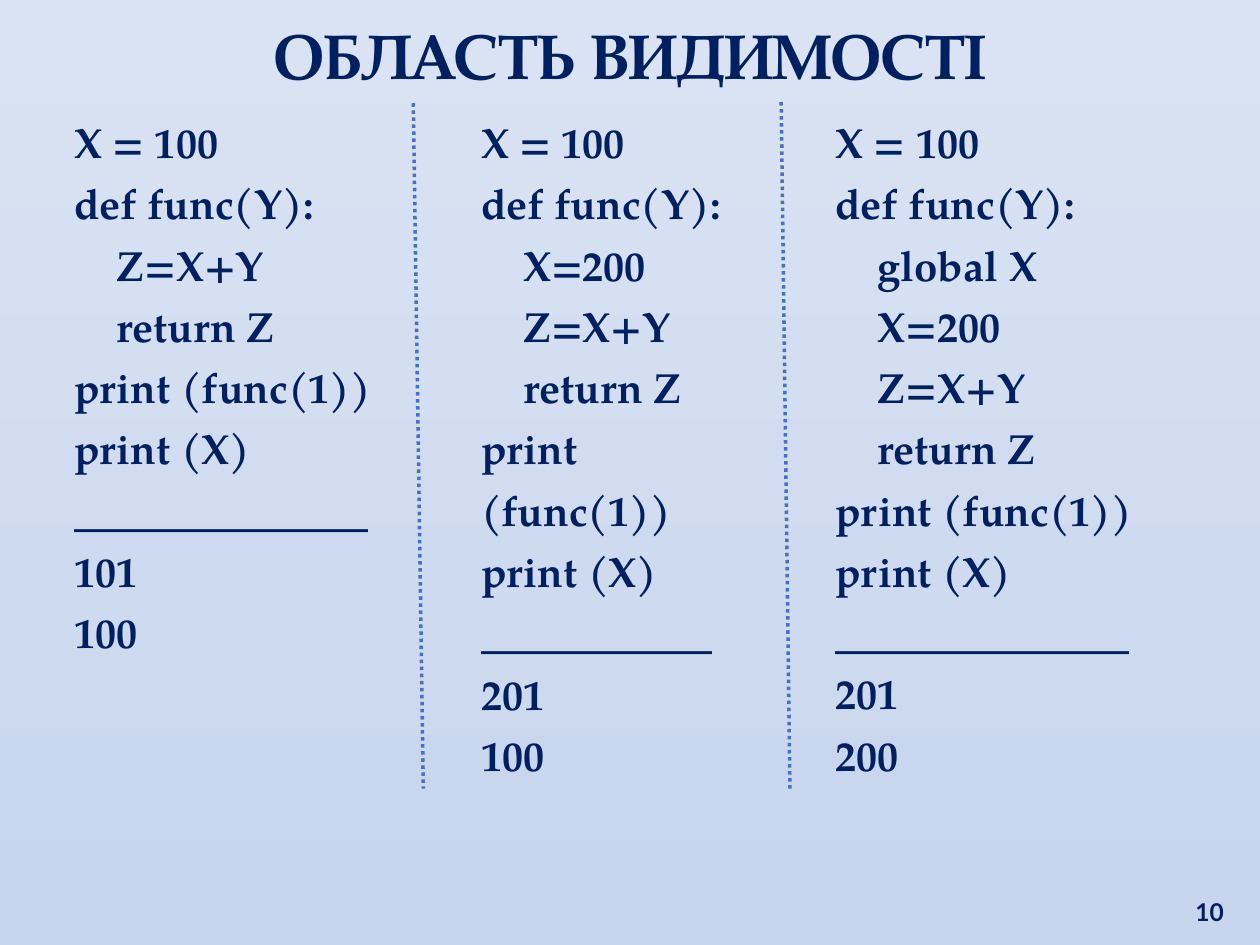
from pptx import Presentation
from pptx.dml.color import RGBColor
from pptx.enum.dml import MSO_LINE
from pptx.enum.shapes import MSO_CONNECTOR
from pptx.enum.text import MSO_ANCHOR, PP_ALIGN
from pptx.oxml.ns import qn
from pptx.util import Pt
from lxml import etree

COLORS = {"text": "002060", "divider": "4472C4", "top": "DAE3F3", "bottom": "C7D5ED"}
SERIF, SANS = "TeX Gyre Pagella", "Lato"
CODE_INDENT = 24

# Each column: left, width, height, function body, rule length, printed results
COLUMNS = [
    (35.3, 194.4, 323.3, ["Z=X+Y", "return Z"], 14, ["101", "100"]),
    (267.8, 173.5, 358.6, ["X=200", "Z=X+Y", "return Z"], 11, ["201", "100"]),
    (470.2, 234.7, 393.8, ["global X", "X=200", "Z=X+Y", "return Z"], 14, ["201", "200"]),
]
COLUMN_TOP = 56.9
DIVIDERS = [(446.4, 58.3, 451.4, 450.7), (236.2, 59, 241.9, 450.7)]


def color(name):
    return RGBColor.from_string(COLORS[name])


def paint_background(page):
    fill = page.background.fill
    fill.gradient()
    fill.gradient_angle = 270
    for stop, name, position in zip(fill.gradient_stops, ("top", "bottom"), (0, 1)):
        stop.color.rgb = color(name)
        stop.position = position


def add_text(page, left, top, width, height, lines, size, font=SERIF,
             align=PP_ALIGN.LEFT, anchor=MSO_ANCHOR.TOP, spacing=None):
    """Place (text, indent) lines in one text box."""
    box = page.shapes.add_textbox(Pt(left), Pt(top), Pt(width), Pt(height))
    frame = box.text_frame
    frame.word_wrap = True
    frame.vertical_anchor = anchor
    for number, (text, indent) in enumerate(lines):
        para = frame.add_paragraph() if number else frame.paragraphs[0]
        para.text = text
        para.alignment = align
        if spacing:
            para.line_spacing = Pt(spacing)
        if indent:
            para._p.get_or_add_pPr().set("marL", str(Pt(indent)))
        para.font.name = font
        para.font.size = Pt(size)
        para.font.bold = True
        para.font.color.rgb = color("text")


def add_code_column(page, left, top, width, height, body, rule_length, results):
    lines = [("X = 100", 0), ("def func(Y):", 0)]
    lines += [(statement, CODE_INDENT) for statement in body]
    lines += [("print (func(1))", 0), ("print (X)", 0), ("_" * rule_length, 0)]
    lines += [(result, 0) for result in results]
    add_text(page, left, top, width, height, lines, 24, spacing=35)


def add_divider(page, *ends):
    line = page.shapes.add_connector(MSO_CONNECTOR.STRAIGHT, *map(Pt, ends))
    line.line.color.rgb = color("divider")
    line.line.width = Pt(2)
    line.line.dash_style = MSO_LINE.ROUND_DOT
    etree.SubElement(line._element.spPr, qn("a:effectLst"))


def main():
    deck = Presentation()
    deck.slide_width, deck.slide_height = Pt(720), Pt(540)
    page = deck.slides.add_slide(deck.slide_layouts[6])
    paint_background(page)

    # Title and page number
    add_text(page, 8.6, 5.8, 702.7, 51.1, [("ОБЛАСТЬ ВИДИМОСТІ", 0)], 36,
             align=PP_ALIGN.CENTER)
    add_text(page, 671.8, 496.8, 34.6, 36, [("10", 0)], 14, font=SANS,
             align=PP_ALIGN.RIGHT, anchor=MSO_ANCHOR.BOTTOM)

    # Code examples with dotted dividers
    for left, width, height, *example in COLUMNS:
        add_code_column(page, left, COLUMN_TOP, width, height, *example)
    for ends in DIVIDERS:
        add_divider(page, *ends)

    deck.save("out.pptx")


if __name__ == "__main__":
    main()
